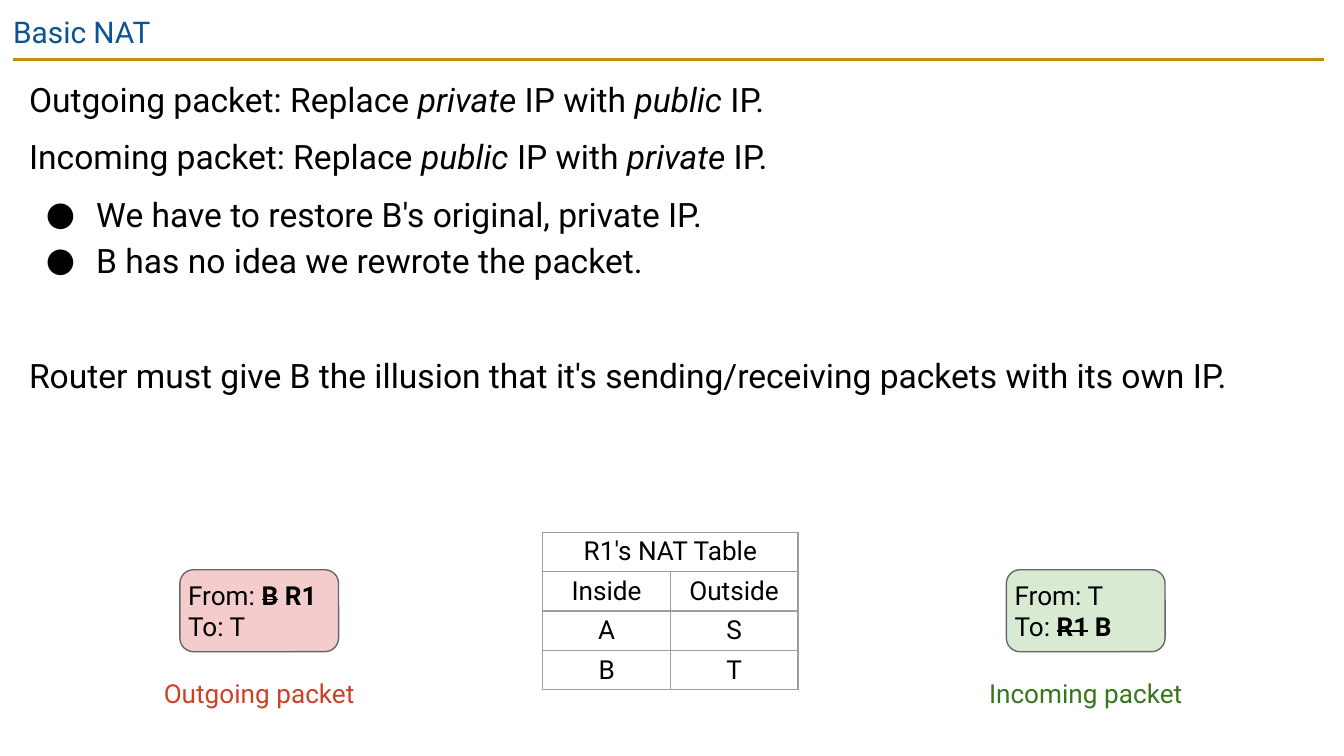
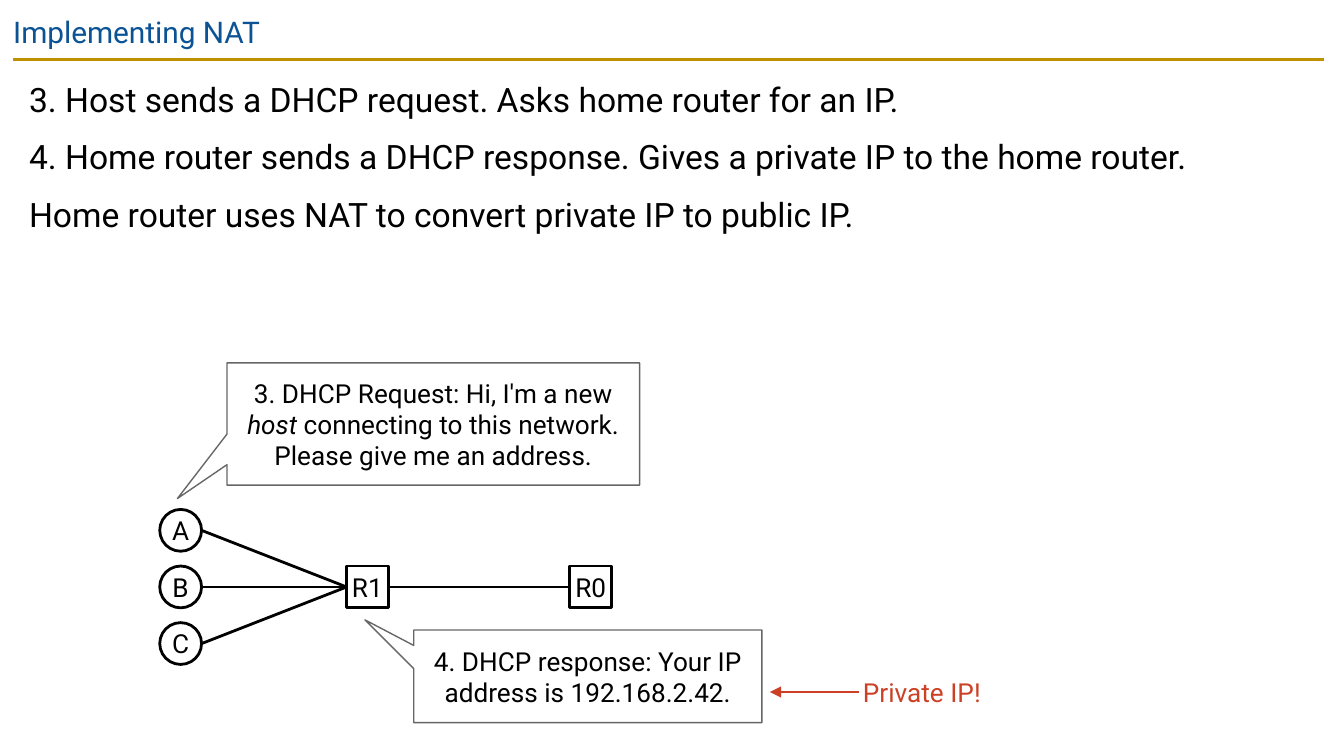
from lxml import etree
from pptx import Presentation
from pptx.dml.color import RGBColor
from pptx.enum import shapes, text
from pptx.oxml import ns
from pptx.util import Cm, Pt

FONT = "Roboto"
BLACK, WHITE, GRAY = "000000", "FFFFFF", "666666"
BLUE, GOLD, RED, GREEN = "0B5394", "BF9000", "CC4125", "38761D"
PINK, MINT, GRID = "F4CCCC", "D9EAD3", "9E9E9E"
LEFT, CENTER = text.PP_ALIGN.LEFT, text.PP_ALIGN.CENTER
TOP, MIDDLE = text.MSO_ANCHOR.TOP, text.MSO_ANCHOR.MIDDLE
KIND = shapes.MSO_SHAPE
WIDE, THIN = 0.25, 0.08
NODE = 0.79


def color(value):
    """Turn a hex string into a colour."""
    return RGBColor.from_string(value)


def add_xml(parent, tag, **attributes):
    """Append a DrawingML child element."""
    return etree.SubElement(parent, ns.qn(tag), attributes)


def lengths(*values):
    """Convert centimetres to lengths."""
    return [Cm(value) for value in values]


def write_paragraph(para, spans, size=14, ink=BLACK, align=LEFT):
    """Write a string, or (text, style) pairs with styles b, i and s."""
    if isinstance(spans, str):
        spans = [(spans, "")]
    para.alignment = align
    for words, style in spans:
        span = para.add_run()
        span.text = words
        font = span.font
        font.name, font.size = FONT, Pt(size)
        font.color.rgb = color(ink)
        if "b" in style:
            font.bold = True
        if "i" in style:
            font.italic = True
        if "s" in style:
            span._r.get_or_add_rPr().set("strike", "sngStrike")


def set_frame(frame, inset, anchor=TOP):
    """Set wrapping, insets and vertical anchor."""
    frame.word_wrap = True
    frame.auto_size = text.MSO_AUTO_SIZE.NONE
    frame.vertical_anchor = anchor
    frame.margin_left = frame.margin_right = Cm(inset)
    frame.margin_top = frame.margin_bottom = Cm(inset)


def write_lines(frame, lines, **style):
    """Write one paragraph per line and return the paragraphs."""
    paras = [frame.paragraphs[0]] + [frame.add_paragraph() for _ in lines[1:]]
    for para, spans in zip(paras, lines):
        write_paragraph(para, spans, **style)
    return paras


def add_line(page, start, end, ink=BLACK, arrow=False):
    """Draw a straight line, with an arrowhead at its end if asked."""
    line = page.shapes.add_connector(shapes.MSO_CONNECTOR.STRAIGHT, *lengths(*start, *end))
    line.line.color.rgb = color(ink)
    line.line.width = Pt(1.5)
    if arrow:
        add_xml(line.line._get_or_add_ln(), "a:tailEnd", type="triangle")
    add_xml(line._element.spPr, "a:effectLst")


def add_page(deck, title):
    """Add a slide with the shared title and gold rule."""
    page = deck.slides.add_slide(deck.slide_layouts[5])
    add_line(page, (0.25, 1.12), (25.02, 1.12), GOLD)
    box = page.shapes.title
    box.left, box.top, box.width, box.height = lengths(0, 0, 25.4, 1.09)
    set_frame(box.text_frame, WIDE)
    write_lines(box.text_frame, [title], size=16, ink=BLUE)
    return page


def add_bullet(para):
    """Give a paragraph a round bullet and a hanging indent."""
    props = para._p.get_or_add_pPr()
    props.set("marL", str(Cm(1.27)))
    props.set("indent", str(-Cm(0.95)))
    add_xml(add_xml(props, "a:buClr"), "a:srgbClr", val=BLACK)
    add_xml(props, "a:buFont", typeface=FONT)
    add_xml(props, "a:buChar", char="●")


def add_body(page, height, items):
    """Add the main text from (spans, space before, bulleted) items."""
    box = page.shapes.add_textbox(*lengths(0.3, 1.12, 24.74, height))
    set_frame(box.text_frame, WIDE)
    paras = write_lines(box.text_frame, [item[0] for item in items], size=18)
    for para, (_, before, bulleted) in zip(paras, items):
        if bulleted:
            add_bullet(para)
        para.line_spacing = 1.15
        para.space_before = Pt(before)


def add_label(page, place, words, ink, align=LEFT):
    """Add a small coloured label."""
    box = page.shapes.add_textbox(*lengths(*place))
    set_frame(box.text_frame, THIN)
    box.text_frame.auto_size = text.MSO_AUTO_SIZE.SHAPE_TO_FIT_TEXT
    write_lines(box.text_frame, [words], ink=ink, align=align)


def add_box(page, kind, place, lines, fill=None, edge=GRAY, width=0.75, inset=THIN, align=CENTER):
    """Add an outlined shape holding text."""
    shape = page.shapes.add_shape(kind, *lengths(*place))
    shape.shadow.inherit = False
    if fill:
        shape.fill.solid()
        shape.fill.fore_color.rgb = color(fill)
    else:
        shape.fill.background()
    shape.line.color.rgb = color(edge)
    shape.line.width = Pt(width)
    set_frame(shape.text_frame, inset, MIDDLE)
    write_lines(shape.text_frame, lines, align=align)
    return shape


def add_packet(page, left, lines, fill, caption, ink):
    """Add a packet header with its caption centred below."""
    width, caption_width = 3, 4.98
    add_box(page, KIND.ROUNDED_RECTANGLE, (left, 10.77, width, 1.55), lines, fill, align=LEFT)
    place = (left + (width - caption_width) / 2, 12.73, caption_width, 0.76)
    add_label(page, place, caption, ink, CENTER)


def add_node(page, kind, left, top, name):
    """Add a host or a router."""
    add_box(page, kind, (left, top, NODE, NODE), [name], WHITE, BLACK, 1.5, 0)


def add_callout(page, place, spans, tip):
    """Add a square-cornered speech callout pointing at tip."""
    shape = add_box(page, KIND.ROUNDED_RECTANGULAR_CALLOUT, place, [spans], inset=WIDE)
    for index, value in enumerate((*tip, 0)):
        shape.adjustments[index] = value


def format_cell(cell):
    """Give a cell thin gray borders, no fill and tight margins."""
    props = cell._tc.get_or_add_tcPr()
    for side in ("a:lnL", "a:lnR", "a:lnT", "a:lnB"):
        border = add_xml(props, side, w=str(Pt(0.75)))
        add_xml(add_xml(border, "a:solidFill"), "a:srgbClr", val=GRID)
    cell.fill.background()
    cell.vertical_anchor = MIDDLE
    cell.margin_left = cell.margin_right = Cm(THIN)
    cell.margin_top = cell.margin_bottom = Cm(THIN)


def add_nat_table(page, heading, rows):
    """Add the address table under a merged heading row."""
    row_height, column_width = 0.69, 2.41
    count = len(rows) + 1
    place = lengths(10.26, 10.06, 2 * column_width, count * row_height)
    table = page.shapes.add_table(count, 2, *place).table
    table.first_row = table.horz_banding = False
    for cell in table.iter_cells():
        format_cell(cell)
    table.cell(0, 0).merge(table.cell(0, 1))
    write_lines(table.cell(0, 0).text_frame, [heading], align=CENTER)
    for row, names in enumerate(rows, 1):
        for column, name in enumerate(names):
            write_lines(table.cell(row, column).text_frame, [name], align=CENTER)


def build_basic_nat(deck):
    """Build the slide on address replacement."""
    page = add_page(deck, "Basic NAT")

    def replace(kind, old, new):
        return [(f"{kind} packet: Replace ", ""), (old, "i"), (" IP with ", ""), (new, "i"), (" IP.", "")]

    add_body(page, 8.23, [
        (replace("Outgoing", "private", "public"), 0, False),
        (replace("Incoming", "public", "private"), 6, False),
        ("We have to restore B's original, private IP.", 6, True),
        ("B has no idea we rewrote the packet.", 0, True),
        ("Router must give B the illusion that it's sending/receiving packets with its own IP.", 37, False),
    ])
    add_nat_table(page, "R1's NAT Table", [("Inside", "Outside"), ("A", "S"), ("B", "T")])
    incoming = ["From: T", [("To: ", ""), ("R1", "bs"), (" B", "b")]]
    outgoing = [[("From: ", ""), ("B", "bs"), (" R1", "b")], "To: T"]
    add_packet(page, 19.02, incoming, MINT, "Incoming packet", GREEN)
    add_packet(page, 3.4, outgoing, PINK, "Outgoing packet", RED)


def build_implementing_nat(deck):
    """Build the slide on the DHCP exchange."""
    page = add_page(deck, "Implementing NAT")
    add_body(page, 4.9, [
        ("3. Host sends a DHCP request. Asks home router for an IP.", 0, False),
        ("4. Home router sends a DHCP response. Gives a private IP to the home router.", 6, False),
        ("Home router uses NAT to convert private IP to public IP.", 6, False),
    ])
    host_left, home_left, outer_left = 3.02, 6.55, 10.77
    first_top, step = 9.63, 1.07
    router_top = first_top + step
    middle = router_top + NODE / 2
    for index, name in enumerate("ABC"):
        top = first_top + index * step
        add_node(page, KIND.OVAL, host_left, top, name)
        add_line(page, (host_left + NODE, top + NODE / 2), (home_left, middle))
    add_line(page, (home_left + NODE, middle), (outer_left, middle))
    add_node(page, KIND.RECTANGLE, home_left, router_top, "R1")
    add_node(page, KIND.RECTANGLE, outer_left, router_top, "R0")
    request = [("3. DHCP Request: Hi, I'm a new ", ""), ("host", "i"),
               (" connecting to this network. Please give me an address.", "")]
    add_callout(page, (4.29, 6.86, 7.8, 2.31), request, (-0.62, 0.61))
    response = "4. DHCP response: Your IP address is 192.168.2.42."
    add_callout(page, (7.82, 11.91, 6.58, 1.75), response, (-0.64, -0.61))
    add_line(page, (16.23, 13.08), (14.55, 13.08), RED, arrow=True)
    add_label(page, (16.23, 12.7, 2.57, 0.76), "Private IP!", RED)


def main():
    """Build and save the deck."""
    deck = Presentation()
    deck.slide_width, deck.slide_height = lengths(25.4, 14.29)
    build_basic_nat(deck)
    build_implementing_nat(deck)
    deck.save("out.pptx")


if __name__ == "__main__":
    main()
